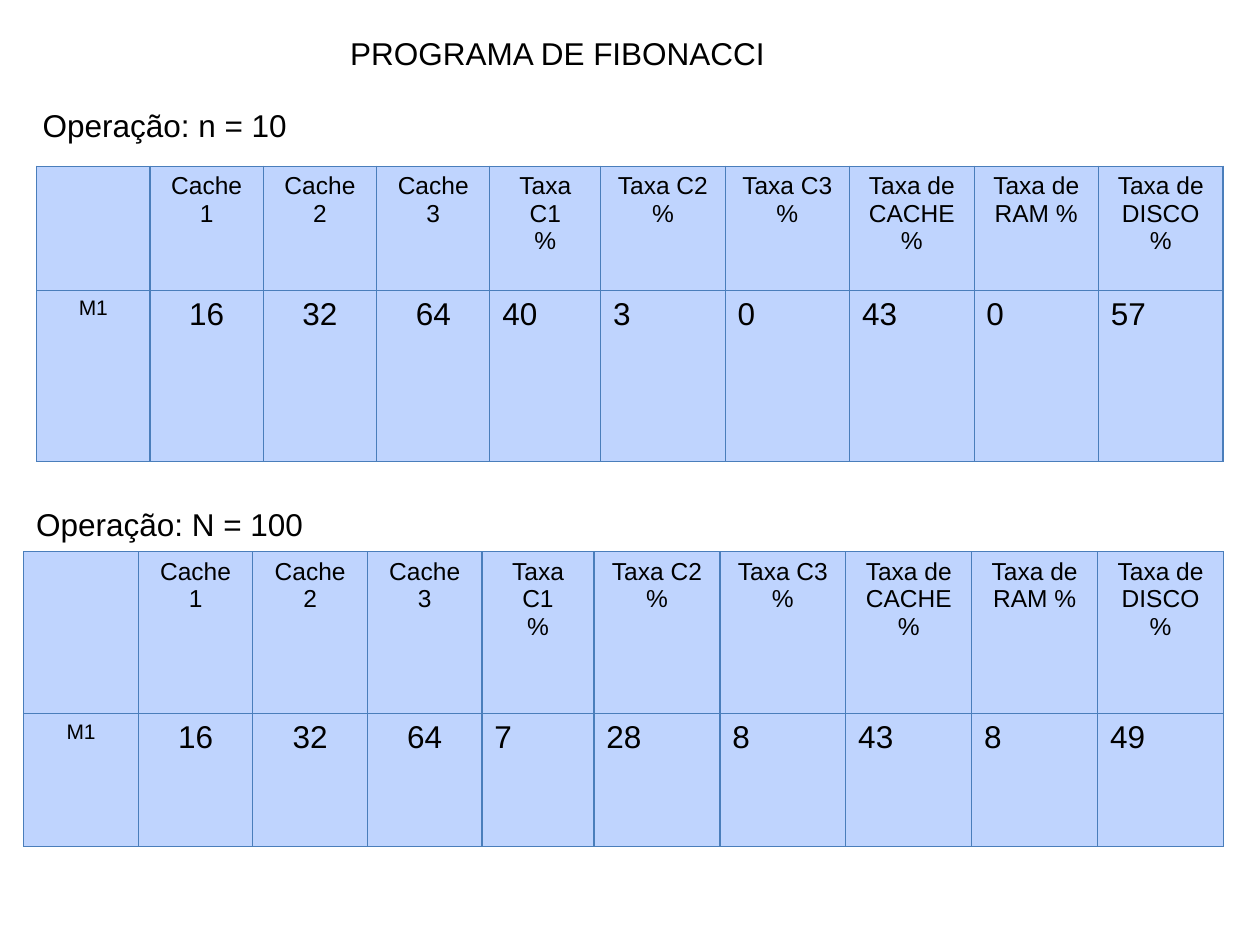
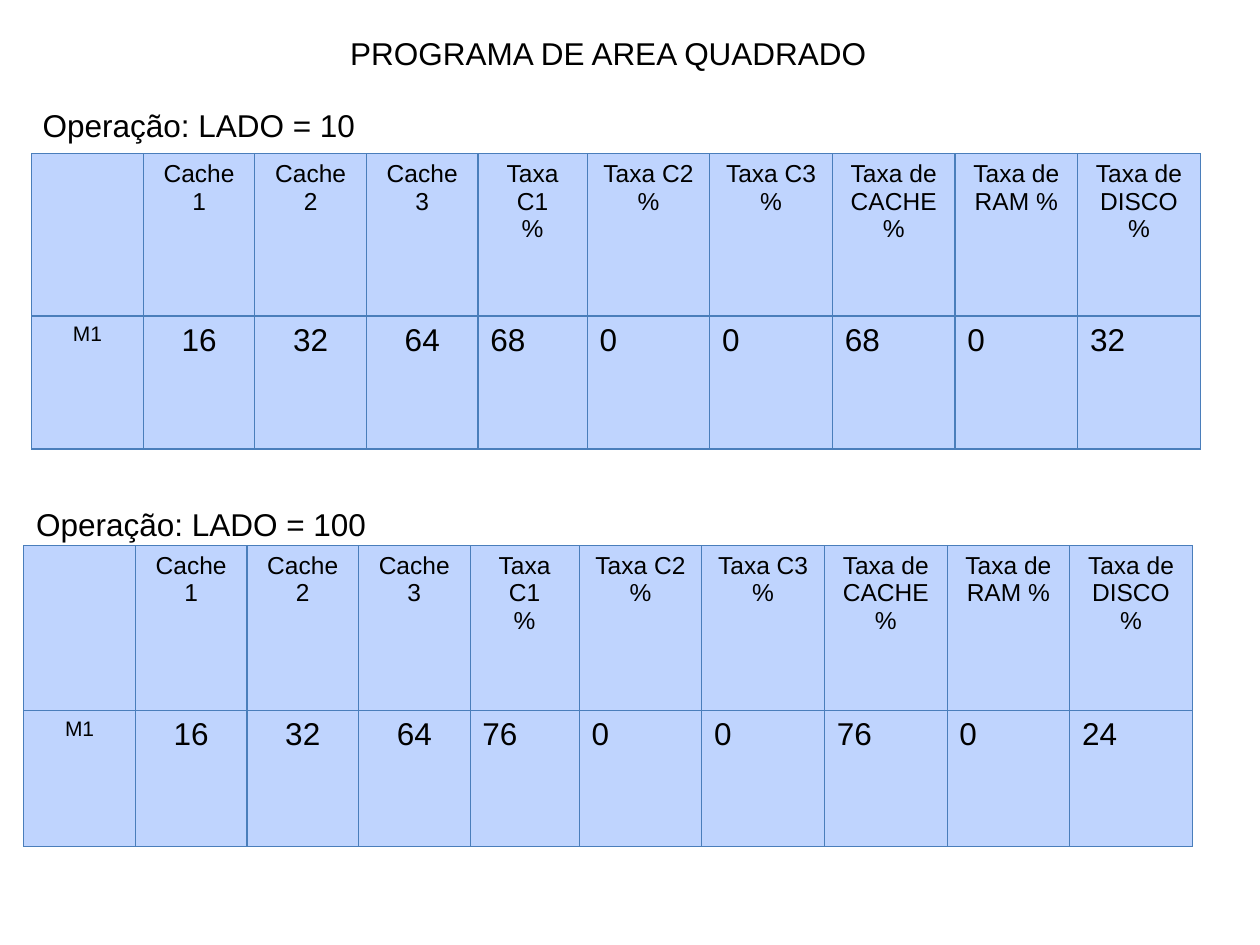
from dataclasses import dataclass

from lxml import etree
from pptx import Presentation
from pptx.dml.color import RGBColor
from pptx.enum.text import MSO_ANCHOR, PP_ALIGN
from pptx.oxml.ns import qn
from pptx.util import Cm, Pt

# Shared look
BLACK = RGBColor(0x00, 0x00, 0x00)
CELL_BLUE = RGBColor(0xBF, 0xD4, 0xFE)
BORDER_BLUE = RGBColor(0x4A, 0x7E, 0xBB)
FONT_NAME = "Arial"
TEXT_SIZE, HEADER_SIZE, ROW_NAME_SIZE = 18, 14, 12
BORDER_WIDTH = Pt(0.75)
LEFT, CENTER = PP_ALIGN.LEFT, PP_ALIGN.CENTER
TOP = MSO_ANCHOR.TOP
FRAME_FORMAT = {
    "word_wrap": True,
    "vertical_anchor": TOP,
    "margin_left": Cm(0.25),
    "margin_right": Cm(0.25),
    "margin_top": Cm(0.13),
    "margin_bottom": Cm(0.13),
}

# Table content common to every measurement; a line break starts a new paragraph
HEADERS = ["", "Cache 1", "Cache 2", "Cache 3", "Taxa C1\n%", "Taxa C2\n%",
           "Taxa C3\n%", "Taxa de CACHE %", "Taxa de RAM %", "Taxa de DISCO %"]
ROW_NAME = "M1"
CACHE_SIZES = [16, 32, 64]
COLUMN_WEIGHTS = [0.91] * 4 + [0.89] + [1.0] * 5


@dataclass
class Label:
    text: str
    left: float
    top: float
    width: float
    height: float


@dataclass
class RateTable:
    left: float
    top: float
    width: float
    row_heights: tuple[float, float]
    rates: list[int]


@dataclass
class ProgramSlide:
    title: str
    labels: list[Label]
    tables: list[RateTable]


def upper_label(text: str, width: float) -> Label:
    return Label(text, 0.61, 2.01, width, 0.84)


def lower_label(text: str, width: float) -> Label:
    return Label(text, 0.48, 10.06, width, 0.94)


PROGRAM_SLIDES = [
    ProgramSlide(
        "PROGRAMA DE FIBONACCI",
        [upper_label("Operação: n = 10", 10.39), lower_label("Operação: N = 100", 10.11)],
        [RateTable(0.48, 11.12, 24.19, (3.27, 2.68), [7, 28, 8, 43, 8, 49]),
         RateTable(0.74, 3.35, 23.92, (2.5, 3.45), [40, 3, 0, 43, 0, 57])],
    ),
    ProgramSlide(
        "PROGRAMA DE AREA QUADRADO",
        [upper_label("Operação: LADO = 10", 8.41), lower_label("Operação: LADO = 100", 8.2)],
        [RateTable(0.64, 3.1, 23.56, (3.27, 2.68), [68, 0, 0, 68, 0, 32]),
         RateTable(0.48, 11, 23.56, (3.33, 2.74), [76, 0, 0, 76, 0, 24])],
    ),
]


def apply_format(target, values: dict) -> None:
    for name, value in values.items():
        setattr(target, name, value)


def write_text(text_frame, text: str, size: int, alignment) -> None:
    for index, line in enumerate(text.split("\n")):
        paragraph = text_frame.paragraphs[0] if index == 0 else text_frame.add_paragraph()
        paragraph.alignment = alignment
        font = paragraph.font
        if line:
            run = paragraph.add_run()
            run.text = line
            font = run.font
        apply_format(font, {"name": FONT_NAME, "size": Pt(size)})
        font.color.rgb = BLACK


def add_label(slide, label: Label) -> None:
    shape = slide.shapes.add_textbox(
        Cm(label.left), Cm(label.top), Cm(label.width), Cm(label.height))
    apply_format(shape.text_frame, FRAME_FORMAT)
    write_text(shape.text_frame, label.text, TEXT_SIZE, LEFT)


def add_borders(cell) -> None:
    properties = cell._tc.get_or_add_tcPr()
    # Border lines come before the fill
    for index, side in enumerate(("a:lnL", "a:lnR", "a:lnT", "a:lnB")):
        line = etree.Element(qn(side), w=str(BORDER_WIDTH))
        fill = etree.SubElement(line, qn("a:solidFill"))
        etree.SubElement(fill, qn("a:srgbClr"), val=str(BORDER_BLUE))
        properties.insert(index, line)


def fill_cell(cell, text: str, size: int, alignment) -> None:
    apply_format(cell, FRAME_FORMAT)
    write_text(cell.text_frame, text, size, alignment)
    cell.fill.solid()
    cell.fill.fore_color.rgb = CELL_BLUE
    add_borders(cell)


def add_rate_table(slide, rate_table: RateTable) -> None:
    table = slide.shapes.add_table(
        2, len(HEADERS), Cm(rate_table.left), Cm(rate_table.top),
        Cm(rate_table.width), Cm(sum(rate_table.row_heights))).table
    apply_format(table, {"first_row": False, "horz_banding": False})
    for row, height in zip(table.rows, rate_table.row_heights):
        row.height = Cm(height)
    unit = rate_table.width / sum(COLUMN_WEIGHTS)
    for column, weight in zip(table.columns, COLUMN_WEIGHTS):
        column.width = Cm(unit * weight)

    # Header row, then row name, centred cache sizes and left-aligned rates
    values = [ROW_NAME, *CACHE_SIZES, *rate_table.rates]
    for index, (header, value) in enumerate(zip(HEADERS, values)):
        fill_cell(table.cell(0, index), header, HEADER_SIZE, CENTER)
        size = ROW_NAME_SIZE if index == 0 else TEXT_SIZE
        alignment = CENTER if index <= len(CACHE_SIZES) else LEFT
        fill_cell(table.cell(1, index), str(value), size, alignment)


def add_program_slide(presentation, program: ProgramSlide) -> None:
    slide = presentation.slides.add_slide(presentation.slide_layouts[6])
    add_label(slide, Label(program.title, 6.81, 0.56, 22.78, 0.84))
    for label in program.labels:
        add_label(slide, label)
    for rate_table in program.tables:
        add_rate_table(slide, rate_table)


def main() -> None:
    presentation = Presentation()
    apply_format(presentation, {"slide_width": Cm(25.4), "slide_height": Cm(19.05)})
    for program in PROGRAM_SLIDES:
        add_program_slide(presentation, program)
    presentation.save("out.pptx")


if __name__ == "__main__":
    main()
